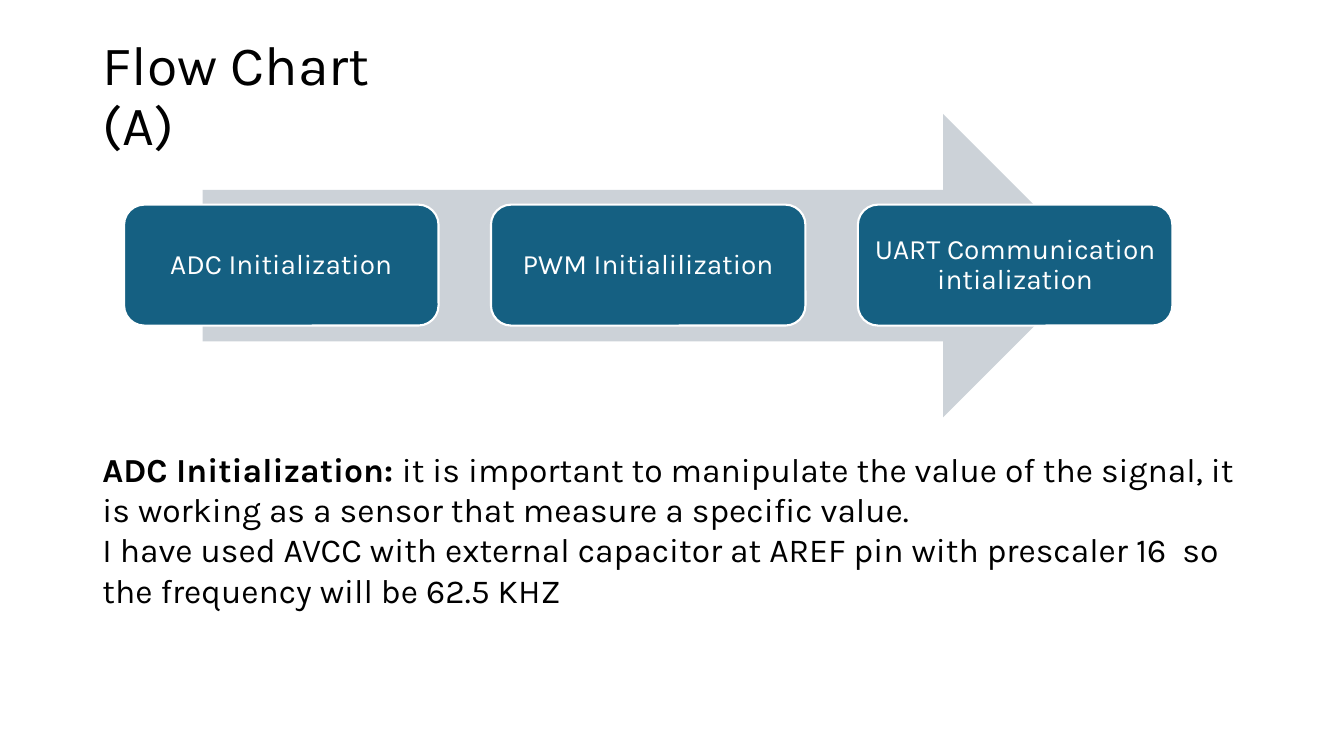
from pptx import Presentation
from pptx.dml.color import RGBColor
from pptx.enum.shapes import MSO_SHAPE
from pptx.enum.text import MSO_ANCHOR, MSO_AUTO_SIZE, PP_ALIGN
from pptx.util import Inches, Pt

ARROW = MSO_SHAPE.RIGHT_ARROW
ROUNDED_BOX = MSO_SHAPE.ROUNDED_RECTANGLE
MIDDLE = MSO_ANCHOR.MIDDLE
LEFT, CENTER = PP_ALIGN.LEFT, PP_ALIGN.CENTER
GROW = MSO_AUTO_SIZE.SHAPE_TO_FIT_TEXT
NO_FIT = MSO_AUTO_SIZE.NONE

BLACK = RGBColor(0x00, 0x00, 0x00)
WHITE = RGBColor(0xFF, 0xFF, 0xFF)
BLUE = RGBColor(0x15, 0x60, 0x82)
GREY = RGBColor(0xCC, 0xD2, 0xD8)

FONT = "Karla"
TITLE_ONLY = 5

MARGIN, CONTENT_WIDTH = 6.88, 86.25
STEP_LEFT, STEP_TOP, STEP_WIDTH, STEP_HEIGHT = 9.23, 27.07, 23.4, 16
STEP_PITCH = 27.3

STEPS = ["ADC Initialization", "PWM Initialilization", "UART Communication intialization"]
NOTES = [
    [("ADC Initialization: ", True),
     ("it is important to manipulate the value of the signal, it is working as a "
      "sensor that measure a specific value.", False)],
    [("I have used AVCC with external capacitor at AREF pin with prescaler 16  so "
      "the frequency will be 62.5 KHZ", False)],
]


class FlowSlide:
    """Draws on one slide; every box is left, top, width, height in percent of the slide."""

    def __init__(self, presentation):
        self.width = presentation.slide_width
        self.height = presentation.slide_height
        self.slide = presentation.slides.add_slide(presentation.slide_layouts[TITLE_ONLY])

    def place(self, left, top, width, height):
        return (round(self.width * left / 100), round(self.height * top / 100),
                round(self.width * width / 100), round(self.height * height / 100))

    def style(self, paragraph, size, color, align=LEFT, spacing=1.0):
        paragraph.alignment = align
        paragraph.line_spacing = spacing
        paragraph.font.name = FONT
        paragraph.font.size = Pt(size)
        paragraph.font.color.rgb = color

    def title(self, text, *box):
        title = self.slide.shapes.title
        title.left, title.top, title.width, title.height = self.place(*box)
        frame = title.text_frame
        frame.text = text
        frame.auto_size = NO_FIT
        frame.vertical_anchor = MIDDLE
        self.style(frame.paragraphs[0], 39.6, BLACK, spacing=0.9)

    def shape(self, kind, color, *box):
        shape = self.slide.shapes.add_shape(kind, *self.place(*box))
        shape.shadow.inherit = False
        shape.fill.solid()
        shape.fill.fore_color.rgb = color
        shape.line.fill.background()
        return shape

    def step(self, text, *box):
        step = self.shape(ROUNDED_BOX, BLUE, *box)
        step.line.color.rgb = WHITE
        step.line.width = Pt(1.5)
        frame = step.text_frame
        frame.text = text
        frame.word_wrap = True
        frame.vertical_anchor = MIDDLE
        frame.margin_left = frame.margin_right = Inches(0.08)
        self.style(frame.paragraphs[0], 20, WHITE, CENTER, 0.9)

    def notes(self, paragraphs, *box):
        frame = self.slide.shapes.add_textbox(*self.place(*box)).text_frame
        frame.word_wrap = True
        frame.auto_size = GROW
        for index, runs in enumerate(paragraphs):
            paragraph = frame.add_paragraph() if index else frame.paragraphs[0]
            self.style(paragraph, 24, BLACK)
            for text, bold in runs:
                run = paragraph.add_run()
                run.text = text
                run.font.bold = bold


def main():
    presentation = Presentation()
    presentation.slide_width = Inches(13.33)
    presentation.slide_height = Inches(7.5)

    flow = FlowSlide(presentation)
    flow.title("Flow Chart\v(A)", MARGIN, 5.33, CONTENT_WIDTH, 15.07)
    flow.shape(ARROW, GREY, 15.08, 15.07, 66.38, 40.13)
    for index, text in enumerate(STEPS):
        flow.step(text, STEP_LEFT + index * STEP_PITCH, STEP_TOP, STEP_WIDTH, STEP_HEIGHT)
    flow.notes(NOTES, MARGIN, 58.67, CONTENT_WIDTH, 22.93)

    presentation.save("out.pptx")


if __name__ == "__main__":
    main()
